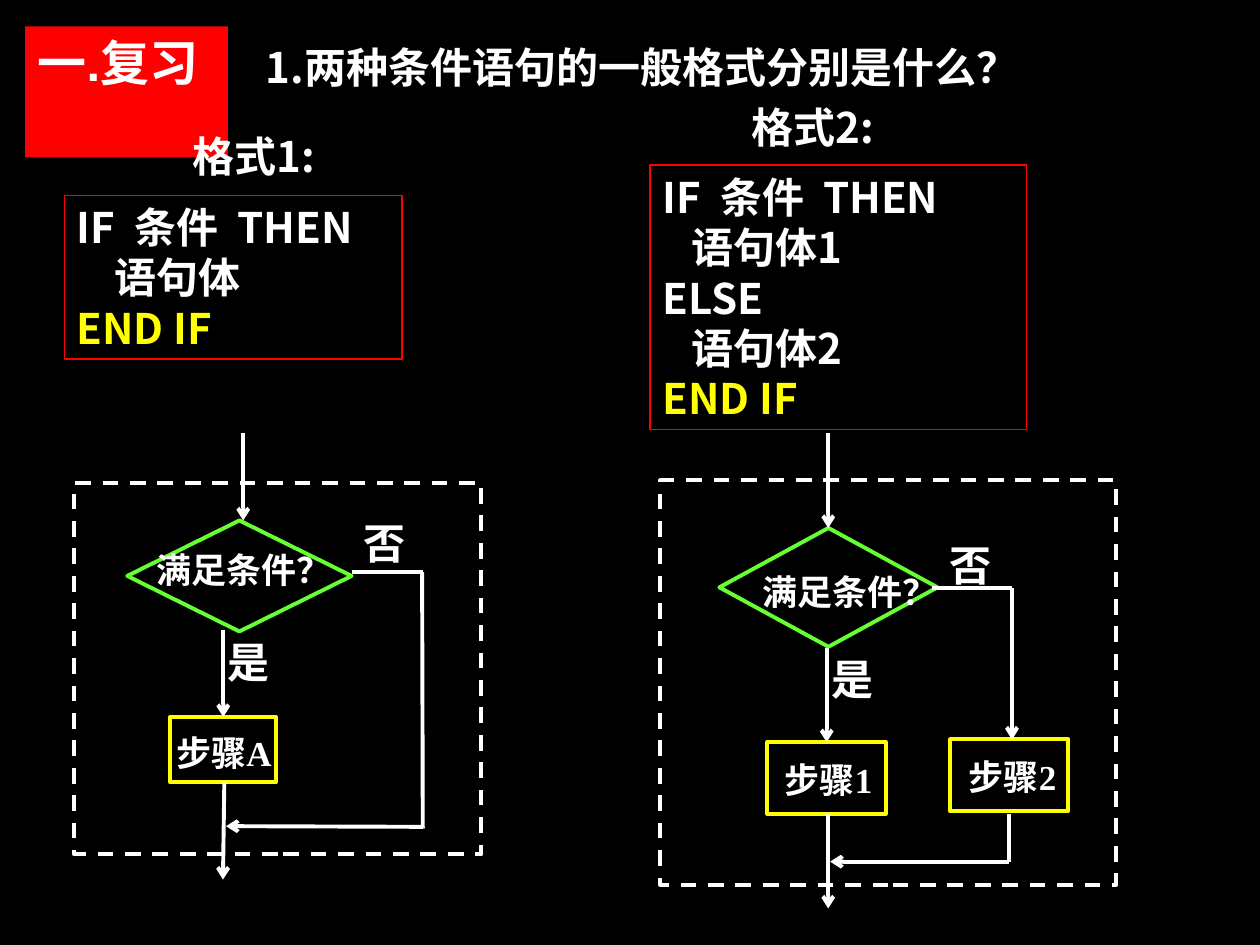
from pptx import Presentation
from pptx.dml.color import RGBColor
from pptx.enum.dml import MSO_LINE
from pptx.enum.shapes import MSO_CONNECTOR, MSO_SHAPE
from pptx.enum.text import MSO_ANCHOR, PP_ALIGN
from pptx.oxml.ns import qn
from pptx.util import Pt
from lxml.etree import SubElement

BLACK = RGBColor(0, 0, 0)
WHITE = RGBColor(255, 255, 255)
RED = RGBColor(255, 0, 0)
YELLOW = RGBColor(255, 255, 0)
GREEN = RGBColor(0x66, 0xFF, 0x33)

SANS = "Noto Sans CJK SC"
SERIF = "Times New Roman"
CODE_LINE = 28.8
FLOW_WIDTH = 2.25


def write_text(paragraph, text, font=SANS, size=24, color=WHITE, align=PP_ALIGN.LEFT):
    paragraph.alignment = align
    run = paragraph.add_run()
    run.text = text
    run.font.name = font
    run.font.size = Pt(size)
    run.font.bold = True
    run.font.color.rgb = color
    SubElement(run.font._element, qn("a:ea")).set("typeface", SANS)


class SlideBuilder:
    def __init__(self, slide):
        self.slide = slide
        slide.background.fill.solid()
        slide.background.fill.fore_color.rgb = BLACK

    def box(self, left, top, width, height, line=None, fill=None,
            weight=FLOW_WIDTH, kind=MSO_SHAPE.RECTANGLE, dashed=False):
        shape = self.slide.shapes.add_shape(
            kind, Pt(left), Pt(top), Pt(width), Pt(height))
        shape.shadow.inherit = False
        if fill is None:
            shape.fill.background()
        else:
            shape.fill.solid()
            shape.fill.fore_color.rgb = fill
        if line is None:
            shape.line.fill.background()
        else:
            shape.line.color.rgb = line
            shape.line.width = Pt(weight)
        if dashed:
            shape.line.dash_style = MSO_LINE.DASH
        frame = shape.text_frame
        frame.word_wrap = True
        frame.vertical_anchor = MSO_ANCHOR.TOP
        return shape

    def label(self, left, top, width, height, text, wrap=True, **text_format):
        shape = self.slide.shapes.add_textbox(
            Pt(left), Pt(top), Pt(width), Pt(height))
        shape.text_frame.word_wrap = wrap
        write_text(shape.text_frame.paragraphs[0], text, **text_format)

    def flow_label(self, left, top, width, height, text, size):
        self.label(left, top, width, height, text, font=SERIF, size=size,
                   align=PP_ALIGN.JUSTIFY)

    def code(self, left, top, width, lines):
        """Outlined statement block whose last line is highlighted."""
        height = len(lines) * CODE_LINE + 7.2
        frame = self.box(left, top, width, height, RED, weight=0.75).text_frame
        for index, text in enumerate(lines):
            paragraph = frame.add_paragraph() if index else frame.paragraphs[0]
            last = index == len(lines) - 1
            write_text(paragraph, text, color=YELLOW if last else WHITE)

    def line(self, x1, y1, x2, y2, arrow=False):
        connector = self.slide.shapes.add_connector(
            MSO_CONNECTOR.STRAIGHT, Pt(x1), Pt(y1), Pt(x2), Pt(y2))
        connector.line.color.rgb = WHITE
        connector.line.width = Pt(FLOW_WIDTH)
        if arrow:
            SubElement(connector.line._get_or_add_ln(), qn("a:tailEnd")).set("type", "arrow")
        SubElement(connector._element.spPr, qn("a:effectLst"))


def add_headings(builder):
    heading = builder.box(14.4, 15.1, 115.9, 74.9, fill=RED)
    write_text(heading.text_frame.paragraphs[0], "一.复习", font="Arial", size=28)
    builder.label(144.7, 20.2, 476.6, 36, "1.两种条件语句的一般格式分别是什么？")


def add_formats(builder):
    builder.label(422.6, 54.7, 108, 36, "格式2:")
    builder.code(371.5, 94.3, 215.3,
                 ["IF  条件  THEN", "   语句体1", "ELSE", "   语句体2", "END IF"])
    builder.label(103, 71.3, 90, 36, "格式1:", wrap=False)
    builder.code(36.7, 111.6, 193, ["IF  条件  THEN", "    语句体", "END IF"])


def add_single_branch(builder):
    # Boxes
    builder.box(42.5, 275.8, 232.6, 212.4, WHITE, dashed=True)
    builder.box(72.7, 297.4, 128.2, 63.4, GREEN, kind=MSO_SHAPE.DIAMOND)
    builder.box(97.2, 409.7, 60.5, 37.4, YELLOW)
    # Labels
    builder.flow_label(82.1, 309.6, 130.3, 37.4, "满足条件？", 20)
    builder.flow_label(93.6, 414.7, 73.4, 37.4, "步骤A", 20)
    builder.flow_label(123.1, 360, 30.2, 37.4, "是", 24)
    builder.flow_label(200.9, 292.3, 30.2, 37.4, "否", 24)
    # Main path
    builder.line(139, 247.5, 139, 297.4, arrow=True)
    builder.line(127.6, 360, 127.6, 409.7, arrow=True)
    builder.line(128.2, 447.1, 127.4, 502.6, arrow=True)
    # Bypass
    builder.line(200.9, 326.9, 241.9, 326.9)
    builder.line(241.2, 326.9, 241.6, 473.4)
    builder.line(241.6, 472.5, 129.2, 472.1, arrow=True)


def add_double_branch(builder):
    # Boxes
    builder.box(377.3, 274.5, 260.6, 231.1, WHITE, dashed=True)
    builder.box(411.1, 301.7, 124.6, 67.9, GREEN, kind=MSO_SHAPE.DIAMOND)
    builder.box(438.5, 424.1, 67.7, 41, YELLOW)
    builder.box(542.9, 422.4, 67.7, 41, YELLOW)
    # Labels
    builder.flow_label(428.4, 322.6, 118.8, 41, "满足条件？", 20)
    builder.flow_label(441.4, 429.8, 67.7, 41, "步骤1", 20)
    builder.flow_label(546.5, 428.4, 67.7, 41, "步骤2", 20)
    builder.flow_label(468, 370.1, 33.8, 41, "是", 24)
    builder.flow_label(535.7, 304.6, 33.8, 41, "否", 24)
    # Main path
    builder.line(473.3, 247.5, 473.3, 301.7, arrow=True)
    builder.line(472.4, 370.1, 472.4, 424.1, arrow=True)
    builder.line(473.3, 465.1, 473.3, 519.1, arrow=True)
    # Second path
    builder.line(532.8, 336.1, 578.3, 336.1)
    builder.line(578.3, 336.1, 578.3, 422.6, arrow=True)
    builder.line(576.5, 465.1, 576.5, 492.4)
    builder.line(576.5, 492.4, 474.4, 492.4, arrow=True)


def main():
    presentation = Presentation()
    presentation.slide_width = Pt(720)
    presentation.slide_height = Pt(540)
    builder = SlideBuilder(presentation.slides.add_slide(presentation.slide_layouts[6]))
    add_headings(builder)
    add_formats(builder)
    add_single_branch(builder)
    add_double_branch(builder)
    presentation.save("out.pptx")


if __name__ == "__main__":
    main()
